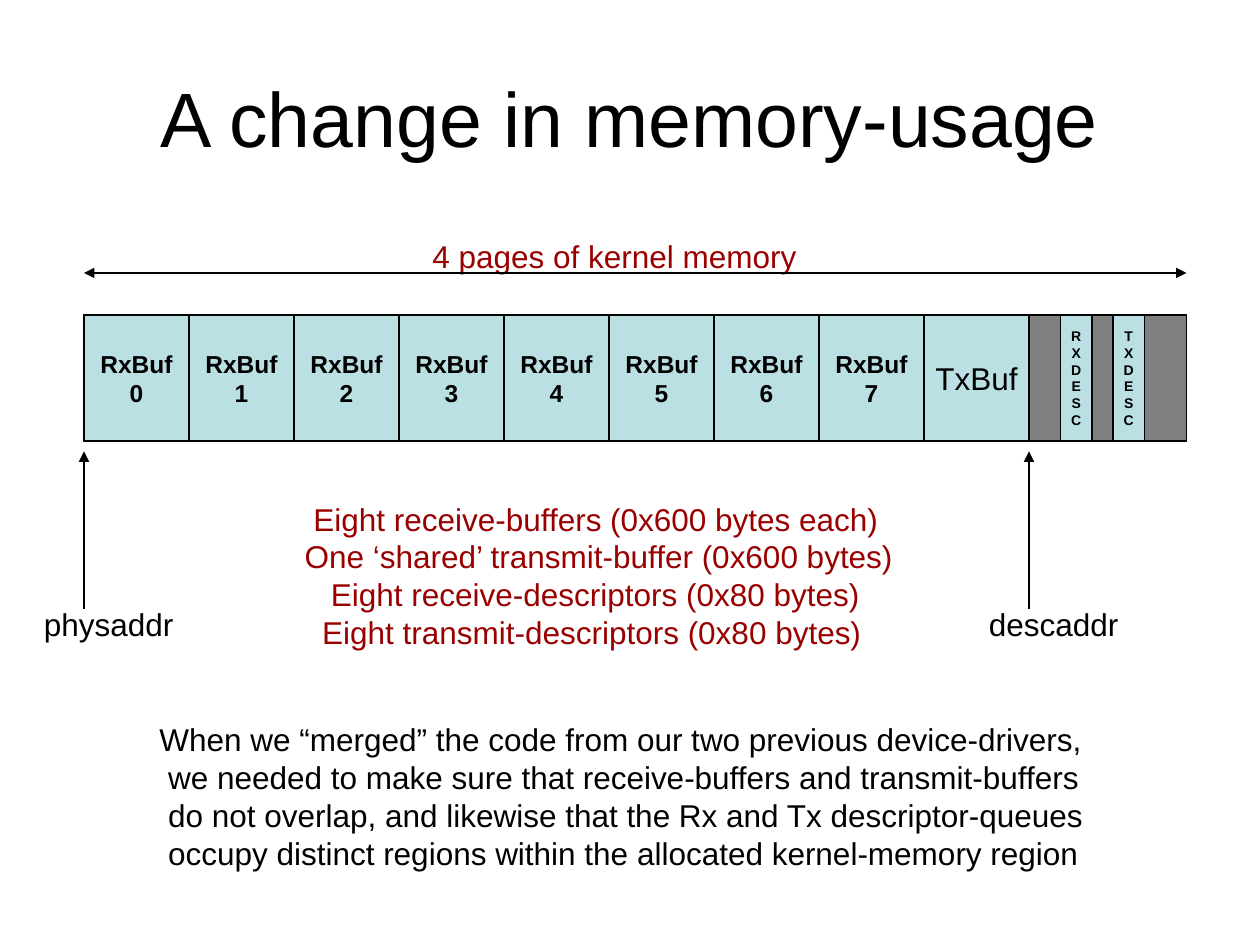
"""Builds a slide showing how four pages of kernel memory are divided."""
from dataclasses import dataclass

from lxml import etree
from pptx import Presentation, util as u
from pptx.dml.color import RGBColor
from pptx.enum import shapes, text
from pptx.oxml.ns import qn

PX = 7620


@dataclass(frozen=True)
class Theme:
    font: str = "Arial"
    ink: RGBColor = RGBColor(0x00, 0x00, 0x00)
    accent: RGBColor = RGBColor(0x99, 0x00, 0x00)
    used: RGBColor = RGBColor(0xBB, 0xE0, 0xE3)
    unused: RGBColor = RGBColor(0x80, 0x80, 0x80)
    line: float = 0.75
    title: int = 44
    body: int = 18
    buffer: int = 14
    descriptor: int = 8
    indent: int = 5


THEME = Theme()


@dataclass(frozen=True)
class Region:
    left: int
    width: int
    fill: RGBColor = THEME.used
    lines: tuple[str, ...] = ()
    size: int = THEME.body
    bold: bool = False


@dataclass(frozen=True)
class Label:
    left: int
    top: int
    width: int
    height: int
    lines: tuple[str, ...]
    color: RGBColor = THEME.ink
    indents: tuple[int, ...] = (0, 0, 0, 0)


@dataclass(frozen=True)
class Arrow:
    start: tuple[int, int]
    end: tuple[int, int]
    ends: tuple[str, ...] = ("tailEnd",)


LEFT, TOP, HEIGHT, CELL = 80, 300, 120, 100
RX_COUNT = 8
DESC_LEFT = LEFT + (RX_COUNT + 1) * CELL
RIGHT = LEFT + 1050

REGIONS = [
    Region(LEFT, RIGHT - LEFT, THEME.unused),
    Region(LEFT, 780),
    *(Region(LEFT + i * CELL, CELL, lines=("RxBuf", str(i)), size=THEME.buffer, bold=True)
      for i in range(RX_COUNT)),
    Region(LEFT + RX_COUNT * CELL, CELL, lines=("TxBuf",)),
    *(Region(left, 30, lines=tuple(word), size=THEME.descriptor, bold=True)
      for left, word in ((DESC_LEFT + 30, "RXDESC"), (DESC_LEFT + 80, "TXDESC"))),
]

LABELS = [
    Label(400, 220, 371, 48, ("4 pages of kernel memory",), THEME.accent),
    Label(LEFT - 50, 570, 148, 48, ("physaddr",)),
    Label(DESC_LEFT - 50, 570, 148, 48, ("descaddr",)),
    Label(270, 470, 594, 156, (
        "Eight receive-buffers (0x600 bytes each)",
        "One ‘shared’ transmit-buffer (0x600 bytes)",
        "Eight receive-descriptors (0x80 bytes)",
        "Eight transmit-descriptors (0x80 bytes)",
    ), THEME.accent, (2, 1, 4, 3)),
    Label(140, 680, 912, 156, (
        "When we “merged” the code from our two previous device-drivers,",
        "we needed to make sure that receive-buffers and transmit-buffers",
        "do not overlap, and likewise that the Rx and Tx descriptor-queues",
        "occupy distinct regions within the allocated kernel-memory region",
    ), indents=(0, 1, 1, 1)),
]

ARROWS = [
    Arrow((RIGHT, 260), (LEFT, 260), ("headEnd", "tailEnd")),
    Arrow((LEFT, 580), (LEFT, 430)),
    Arrow((DESC_LEFT, 580), (DESC_LEFT, 430)),
]


def px(*values: int) -> list[int]:
    """Turn px lengths into EMU."""
    return [v * PX for v in values]


def write(tf, lines: tuple[str, ...], size: int, color: RGBColor, align, bold: bool = False) -> None:
    """Write one paragraph per line in a single style."""
    tf.text = "\n".join(lines)
    for p in tf.paragraphs:
        p.alignment = align
        p.font.name, p.font.size, p.font.bold = THEME.font, u.Pt(size), bold
        p.font.color.rgb = color


def draw_region(slide, region: Region) -> None:
    """Draw one block of the memory map."""
    sp = slide.shapes.add_shape(shapes.MSO_SHAPE.RECTANGLE,
                                *px(region.left, TOP, region.width, HEIGHT))
    sp.shadow.inherit = False
    sp.fill.solid()
    sp.fill.fore_color.rgb = region.fill
    sp.line.color.rgb, sp.line.width = THEME.ink, u.Pt(THEME.line)
    if region.lines:
        tf = sp.text_frame
        tf.word_wrap, tf.vertical_anchor = False, text.MSO_ANCHOR.MIDDLE
        write(tf, region.lines, region.size, THEME.ink, text.PP_ALIGN.CENTER, region.bold)


def draw_label(slide, label: Label) -> None:
    """Draw a text box whose lines may be indented."""
    tf = slide.shapes.add_textbox(*px(label.left, label.top, label.width, label.height)).text_frame
    tf.word_wrap, tf.auto_size = False, text.MSO_AUTO_SIZE.SHAPE_TO_FIT_TEXT
    write(tf, label.lines, THEME.body, label.color, text.PP_ALIGN.LEFT)
    for p, steps in zip(tf.paragraphs, label.indents):
        p._p.get_or_add_pPr().set("marL", str(u.Pt(steps * THEME.indent)))


def draw_arrow(slide, arrow: Arrow) -> None:
    """Draw a straight line with triangular heads."""
    cx = slide.shapes.add_connector(shapes.MSO_CONNECTOR.STRAIGHT, *px(*arrow.start, *arrow.end))
    cx.line.color.rgb, cx.line.width = THEME.ink, u.Pt(THEME.line)
    for end in arrow.ends:
        etree.SubElement(cx.line._get_or_add_ln(), qn(f"a:{end}"), type="triangle")
    etree.SubElement(cx._element.spPr, qn("a:effectLst"))


def main() -> None:
    """Build and save the slide."""
    prs = Presentation()
    prs.slide_width, prs.slide_height = px(1200, 900)
    s = prs.slides.add_slide(prs.slide_layouts[5])
    title = s.shapes.title
    title.left, title.top, title.width, title.height = px(60, 36, 1080, 150)
    title.text_frame.vertical_anchor = text.MSO_ANCHOR.MIDDLE
    write(title.text_frame, ("A change in memory-usage",), THEME.title, THEME.ink,
          text.PP_ALIGN.CENTER)
    for region in REGIONS:
        draw_region(s, region)
    for label in LABELS:
        draw_label(s, label)
    for arrow in ARROWS:
        draw_arrow(s, arrow)
    prs.save("out.pptx")


if __name__ == "__main__":
    main()
